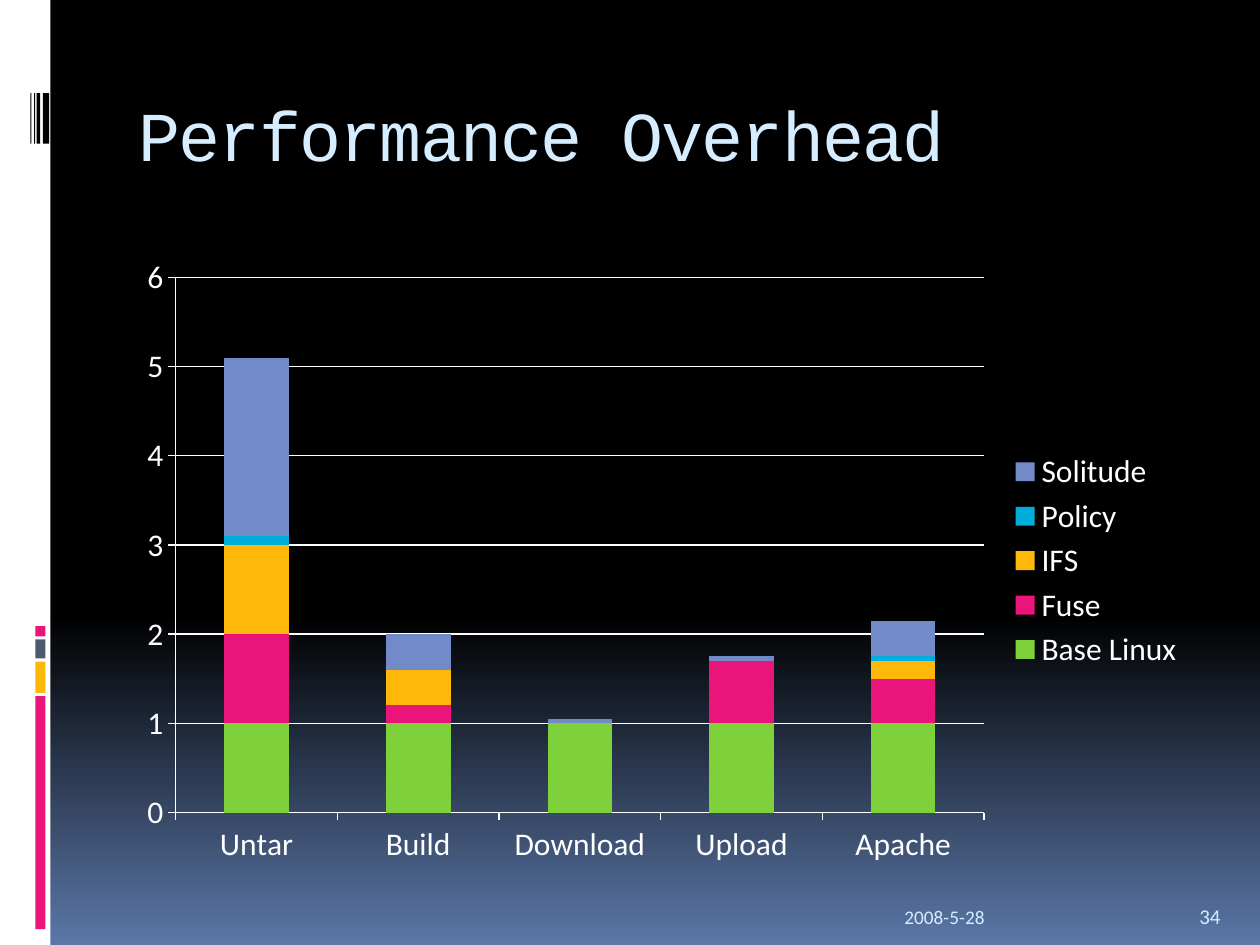
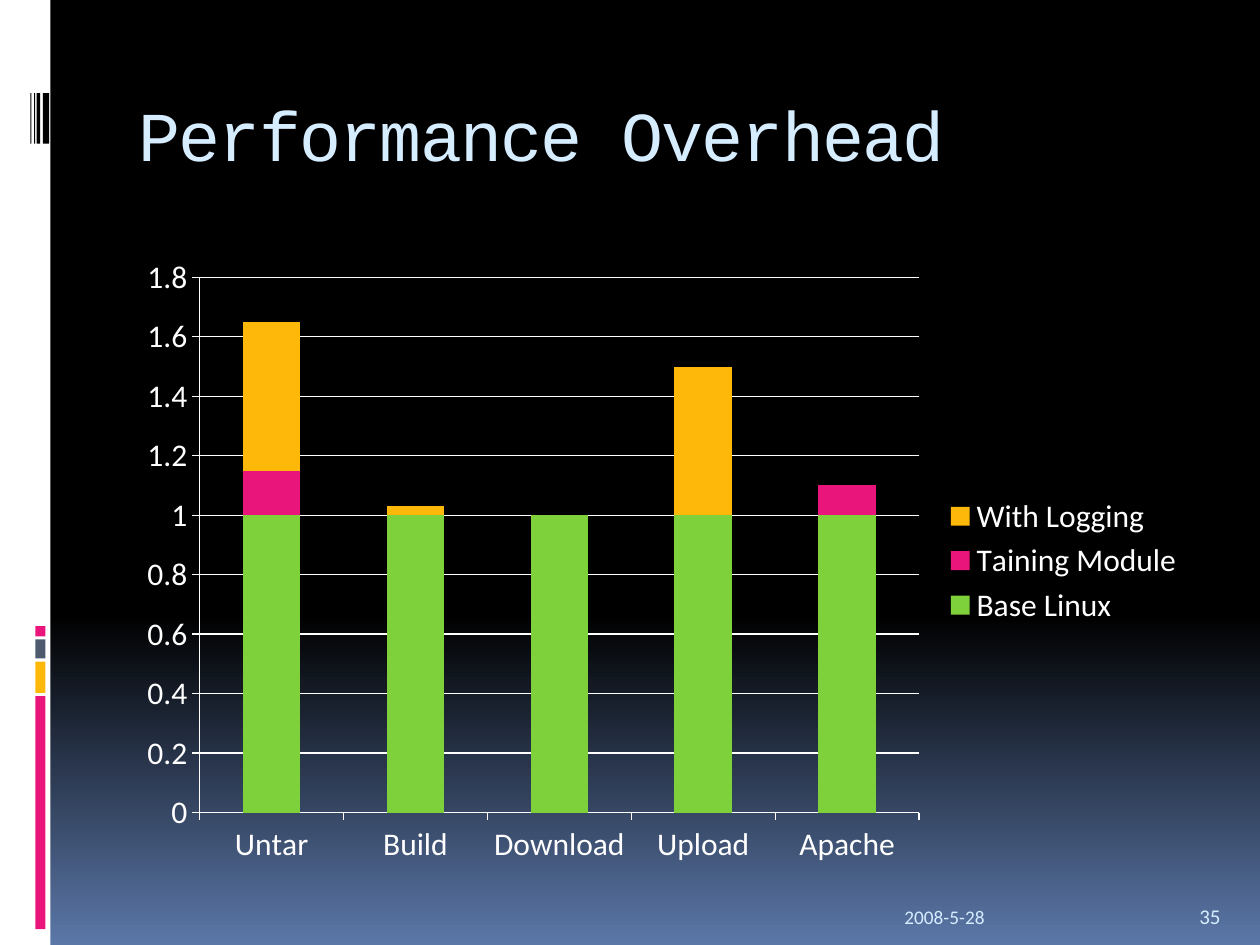
from copy import deepcopy
from dataclasses import dataclass

from pptx import Presentation
from pptx.chart.data import CategoryChartData
from pptx.dml.color import RGBColor
from pptx.enum import chart as charts, shapes, text
from pptx.util import Inches, Pt

BLACK = RGBColor(0x00, 0x00, 0x00)
WHITE = RGBColor(0xFF, 0xFF, 0xFF)
DUSK = RGBColor(0x5B, 0x77, 0xA8)
ICE = RGBColor(0xD6, 0xEC, 0xFF)
SLATE = RGBColor(0x4E, 0x5B, 0x6F)
GREEN = RGBColor(0x7F, 0xD1, 0x3B)
PINK = RGBColor(0xEA, 0x15, 0x7A)
AMBER = RGBColor(0xFE, 0xB8, 0x0A)
CYAN = RGBColor(0x00, 0xAD, 0xDC)
PERIWINKLE = RGBColor(0x73, 0x8A, 0xC8)
SERIES_COLORS = [GREEN, PINK, AMBER, CYAN, PERIWINKLE]

BODY_FONT, TITLE_FONT = "Calibri", "Courier New"
COLUMNS, ROWS, CELL = 100, 75, 0.1  # slide grid, cell size in inches

WORKLOADS = ["Untar", "Build", "Download", "Upload", "Apache"]
BASE = [1, 1, 1, 1, 1]
SOLITUDE_COSTS = {
    "Base Linux": BASE,
    "Fuse": [1, 0.2, 0, 0.7, 0.5],
    "IFS": [1, 0.4, 0, 0, 0.2],
    "Policy": [0.1, 0, 0, 0, 0.05],
    "Solitude": [2, 0.4, 0.05, 0.05, 0.4],
}
LOGGING_COSTS = {
    "Base Linux": BASE,
    "Taining Module": [0.15, 0, 0, 0, 0.1],
    "With Logging": [0.5, 0.03, 0, 0.5, 0],
}


@dataclass
class Box:
    """An area of the slide, in grid columns and rows."""
    col: float
    row: float
    cols: float
    rows: float

    def inner(self, col, row, cols, rows):
        return Box(self.col + col, self.row + row, cols, rows)

    def emu(self):
        return [Inches(n * CELL) for n in (self.col, self.row, self.cols, self.rows)]


def add_block(slide, box, color):
    block = slide.shapes.add_shape(shapes.MSO_SHAPE.RECTANGLE, *box.emu())
    block.shadow.inherit = False
    block.fill.solid()
    block.fill.fore_color.rgb = color
    block.line.fill.background()


def add_text(slide, box, words, size, font=BODY_FONT, color=ICE,
             anchor=text.MSO_ANCHOR.BOTTOM, spacing=None):
    frame = slide.shapes.add_textbox(*box.emu()).text_frame
    frame.word_wrap = True
    frame.vertical_anchor = anchor
    run = frame.paragraphs[0].add_run()
    run.text = words
    run.font.size, run.font.name = Pt(size), font
    run.font.color.rgb = color
    if spacing is not None:
        run.font._element.set("spc", str(spacing * 100))


def paint_background(slide):
    fill = slide.background.fill
    fill.gradient()
    fill.gradient_angle = 270
    first = fill.gradient_stops[0]._gs
    first.addnext(deepcopy(first))
    for stop, position, color in zip(fill.gradient_stops, (0, 0.65, 1), (BLACK, BLACK, DUSK)):
        stop.position = position
        stop.color.rgb = color


def add_sidebar(slide, box):
    add_block(slide, box, WHITE)
    # Barcode
    for col, width in ((2.4, 0.1), (2.7, 0.1), (2.9, 0.3), (3.4, 0.5)):
        add_block(slide, box.inner(col, 7.4, width, 4), BLACK)
    # Coloured stack, evenly spaced downwards
    row, gap = 49.7, 0.25
    for height, color in ((0.8, PINK), (1.5, SLATE), (2.5, AMBER), (18.5, PINK)):
        add_block(slide, box.inner(2.8, row, 0.8, height), color)
        row += height + gap


def add_footer(slide, box, number):
    number_cols = 5
    date_cols = box.cols - number_cols
    add_text(slide, box.inner(0, 0, date_cols, box.rows), "2008-5-28", size=11)
    add_text(slide, box.inner(date_cols, 0, number_cols, box.rows), str(number), size=12)


def add_cost_chart(slide, box, costs):
    data = CategoryChartData()
    data.categories = WORKLOADS
    for layer, values in costs.items():
        data.add_series(layer, values)
    chart = slide.shapes.add_chart(
        charts.XL_CHART_TYPE.COLUMN_STACKED, *box.emu(), data).chart
    chart.has_title = False
    chart.font.name, chart.font.size = BODY_FONT, Pt(18)
    chart.font.color.rgb = WHITE

    # Stacked bars
    bars = chart.plots[0]
    bars.vary_by_categories = False
    bars.gap_width, bars.overlap = 150, 100
    for layer, color in zip(bars.series, SERIES_COLORS):
        layer.format.fill.solid()
        layer.format.fill.fore_color.rgb = color

    # Axes and gridlines
    chart.value_axis.has_major_gridlines = True
    chart.value_axis.minimum_scale = 0
    for ruled in (chart.category_axis, chart.value_axis, chart.value_axis.major_gridlines):
        ruled.format.line.color.rgb = WHITE
        ruled.format.line.width = Pt(0.75)
    for axis in (chart.category_axis, chart.value_axis):
        axis.major_tick_mark = charts.XL_TICK_MARK.OUTSIDE

    chart.has_legend = True
    chart.legend.position = charts.XL_LEGEND_POSITION.RIGHT
    chart.legend.include_in_layout = False


def add_overhead_slide(deck, box, number, costs):
    slide = deck.slides.add_slide(deck.slide_layouts[6])
    paint_background(slide)
    add_sidebar(slide, box.inner(0, 0, 4, box.rows))
    add_text(slide, box.inner(10, 5.6, 85, 10), "Performance Overhead", size=40,
             font=TITLE_FONT, anchor=text.MSO_ANCHOR.MIDDLE, spacing=-1)
    add_cost_chart(slide, box.inner(10, 19.5, 85, 50), costs)
    add_footer(slide, box.inner(70.8, 70.2, 28.4, 4), number)


def main():
    deck = Presentation()
    page = Box(0, 0, COLUMNS, ROWS)
    _, _, deck.slide_width, deck.slide_height = page.emu()
    for number, costs in enumerate((SOLITUDE_COSTS, LOGGING_COSTS), start=34):
        add_overhead_slide(deck, page, number, costs)
    deck.save("out.pptx")


if __name__ == "__main__":
    main()
